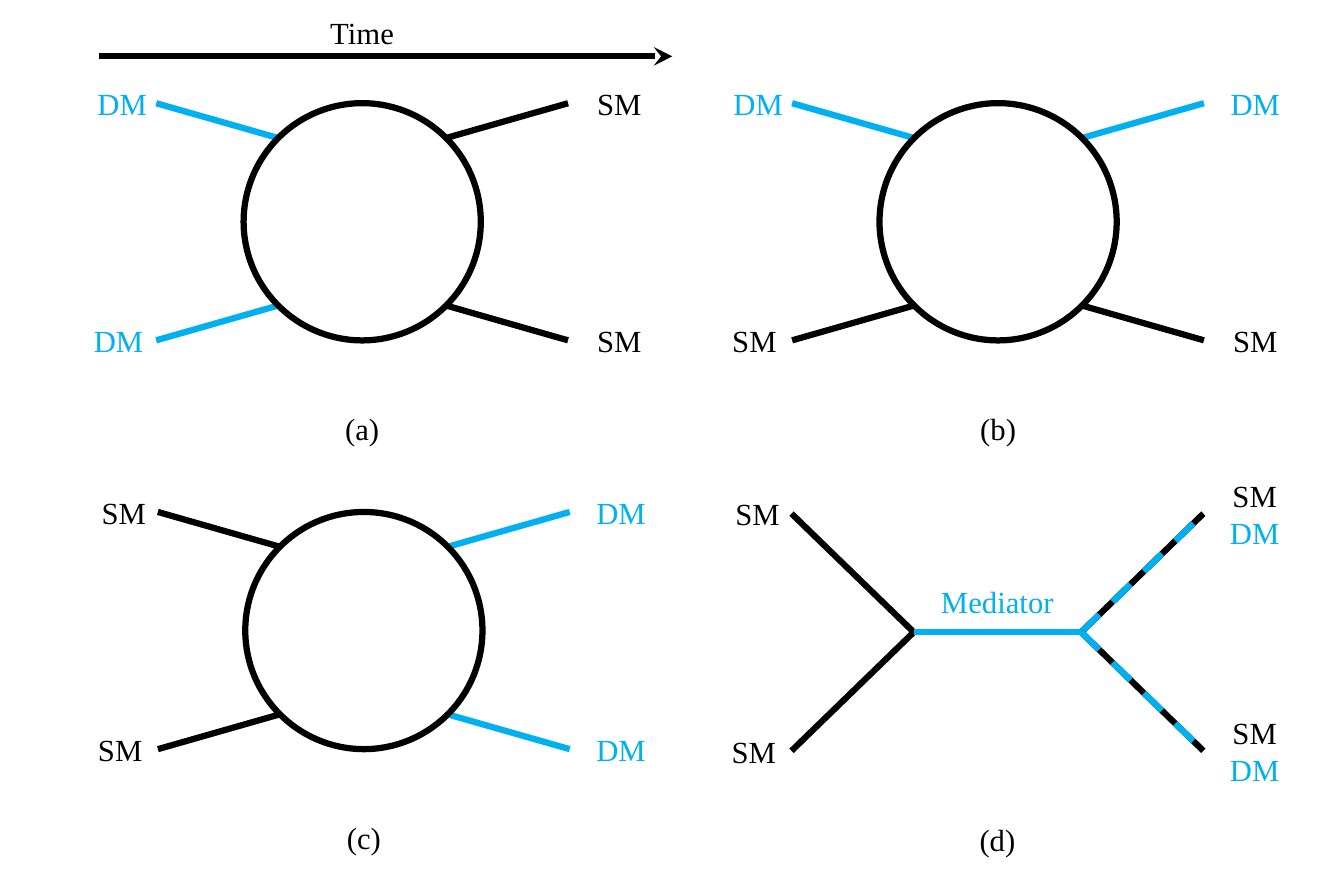
import lxml.etree
import pptx
import pptx.dml.color
import pptx.enum.dml
import pptx.enum.shapes
import pptx.enum.text
import pptx.oxml.ns
import pptx.util

Pt = pptx.util.Pt
qn = pptx.oxml.ns.qn
rgb = pptx.dml.color.RGBColor.from_string

BLACK, BLUE = "000000", "00B0F0"
COLORS = {"SM": BLACK, "DM": BLUE}
RADIUS = 42.5   # circle, and height of the outer line ends
REACH = 73.8    # horizontal distance to the outer line ends
VERTEX = 30     # distance to the inner line ends

deck = pptx.Presentation()
deck.slide_width, deck.slide_height = Pt(481.7), Pt(311.8)
slide = deck.slides.add_slide(deck.slide_layouts[6])
shapes = slide.shapes


def add_line(x1, y1, x2, y2, color):
    line = shapes.add_connector(pptx.enum.shapes.MSO_CONNECTOR.STRAIGHT,
                                Pt(x1), Pt(y1), Pt(x2), Pt(y2))
    line.line.color.rgb = rgb(color)
    line.line.width = Pt(2.25)
    lxml.etree.SubElement(line._element.spPr, qn("a:effectLst"))
    return line


def add_label(x, y, text, colors, width=36.7):
    """Centre text on (x, y), with one colour per line of text."""
    height = 23
    label = shapes.add_textbox(Pt(x - width / 2), Pt(y - height / 2), Pt(width), Pt(height))
    frame = label.text_frame
    frame.word_wrap = True
    frame.vertical_anchor = pptx.enum.text.MSO_ANCHOR.MIDDLE
    frame.margin_left = frame.margin_right = 0
    paragraph = frame.paragraphs[0]
    paragraph.text = text
    paragraph.alignment = pptx.enum.text.PP_ALIGN.CENTER
    for run, color in zip(paragraph.runs, colors):
        run.font.name = "Times New Roman"
        run.font.size = Pt(11)
        run.font.color.rgb = rgb(color)
    for line_break in paragraph._p.findall(qn("a:br")):
        lxml.etree.SubElement(line_break, qn("a:rPr"), sz="1100")


# Corner order: top left, bottom left, top right, bottom right
corners = [(-1, -1), (-1, 1), (1, -1), (1, 1)]
label_offsets = [-86, -87.3, 92.2, 92.2]
panels = [
    ("(a)", 129.8, 79.5, ["DM", "DM", "SM", "SM"]),
    ("(b)", 357.7, 79.5, ["DM", "SM", "DM", "SM"]),
    ("(c)", 130.4, 226, ["SM", "SM", "DM", "DM"]),
    ("(d)", 357.5, 226.6, ["SM", "SM", "SM\vDM", "SM\vDM"]),
]

for caption, x, y, particles in panels:
    has_mediator = caption == "(d)"
    vertex_height = 0 if has_mediator else VERTEX
    for (side, level), offset, particle in zip(corners, label_offsets, particles):
        colors = [COLORS[name] for name in particle.split("\v")]
        ends = (x + side * VERTEX, y + level * vertex_height,
                x + side * REACH, y + level * RADIUS)
        add_line(*ends, colors[0])
        for color in colors[1:]:
            dashes = add_line(*ends, color)
            dashes.line.dash_style = pptx.enum.dml.MSO_LINE.DASH
        add_label(x + offset, y + level * RADIUS, particle, colors)
    if has_mediator:
        add_line(x - VERTEX, y, x + VERTEX, y, BLUE)
        add_label(x, y - 11.3, "Mediator", [BLUE], width=60.5)
    else:
        circle = shapes.add_shape(pptx.enum.shapes.MSO_SHAPE.OVAL, Pt(x - RADIUS),
                                  Pt(y - RADIUS), Pt(2 * RADIUS), Pt(2 * RADIUS))
        circle.shadow.inherit = False
        circle.fill.background()
        circle.line.color.rgb = rgb(BLACK)
        circle.line.width = Pt(2.25)
    add_label(x, y + 74, caption, [BLACK])

time_arrow = add_line(35.4, 20.2, 241, 20.2, BLACK)
lxml.etree.SubElement(time_arrow.line._get_or_add_ln(), qn("a:tailEnd"), type="stealth")
add_label(129.8, 11.7, "Time", [BLACK], width=48)

deck.save("out.pptx")
